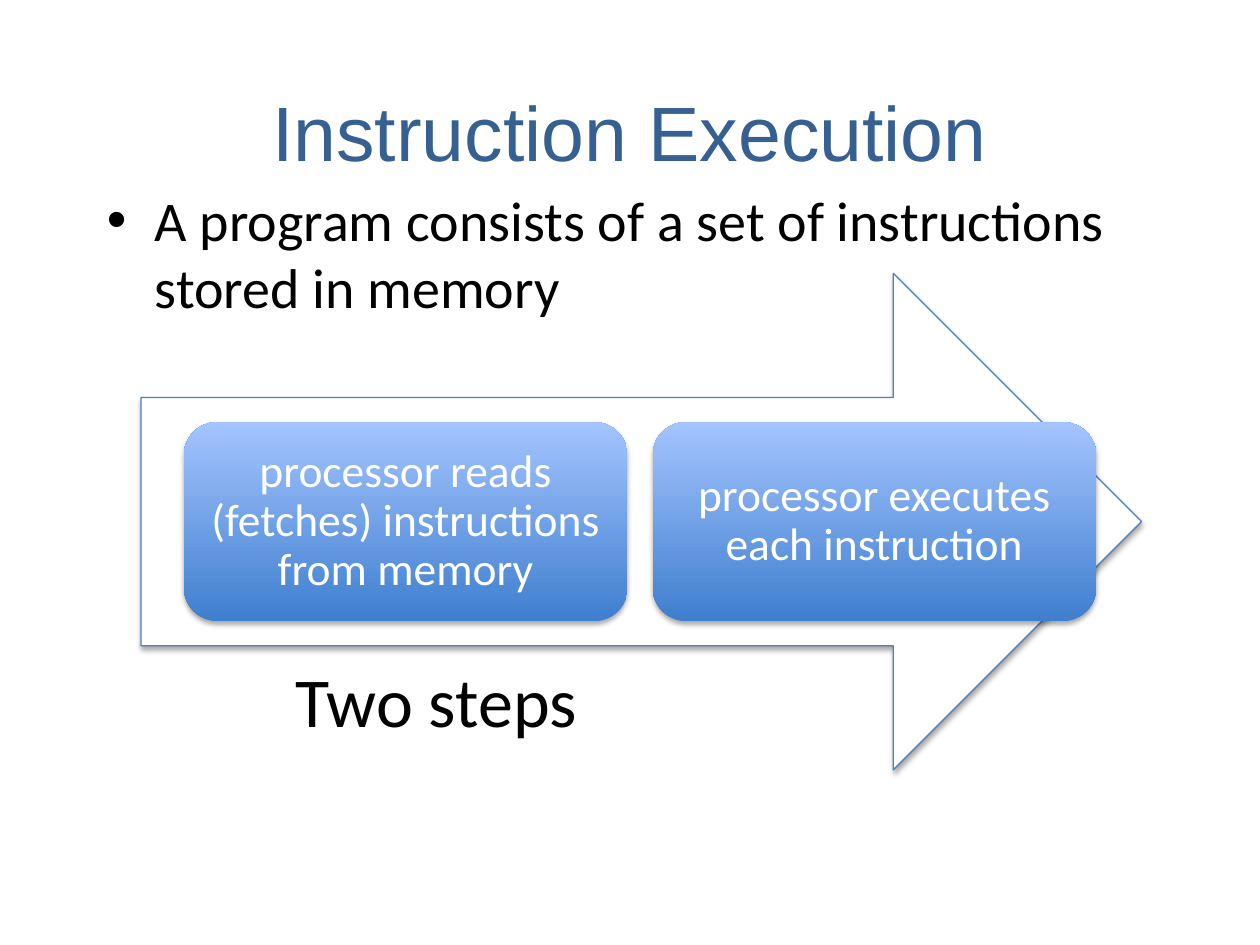
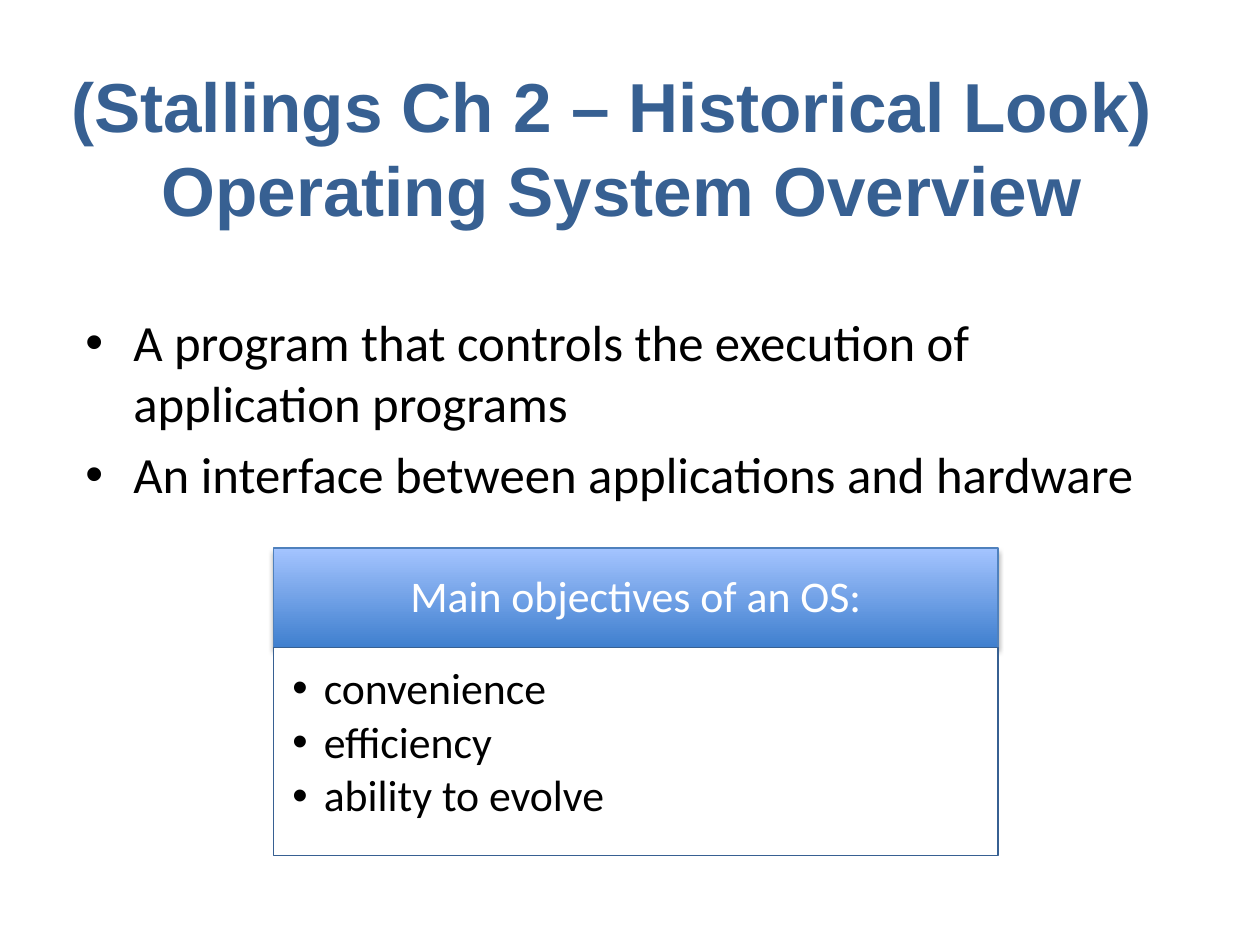
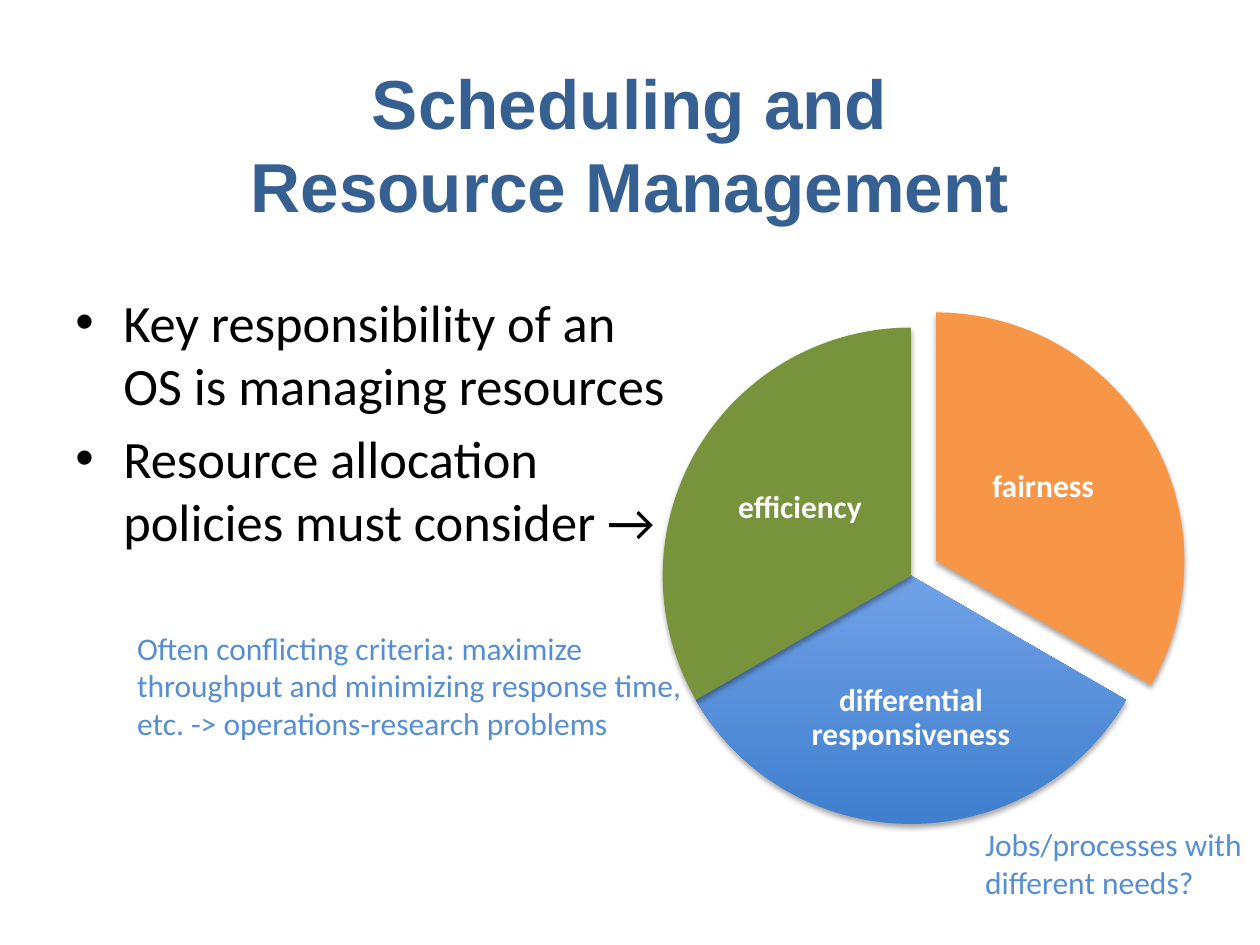
from dataclasses import dataclass, replace
from typing import Optional

from lxml.etree import SubElement as Sub
from pptx import Presentation
from pptx.dml.color import RGBColor
from pptx.enum.shapes import MSO_SHAPE as Kind
from pptx.enum.text import MSO_ANCHOR as Anchor, PP_ALIGN as Align
from pptx.oxml.ns import qn
from pptx.shapes.autoshape import Shape
from pptx.slide import Slide
from pptx.util import Inches, Pt

# Shared colours
NAVY = RGBColor(0x37, 0x60, 0x92)
BLUE = RGBColor(0x4F, 0x81, 0xBD)
SKY = RGBColor(0x55, 0x8E, 0xD5)
DEEP = RGBColor(0x3F, 0x7F, 0xCE)
PALE = RGBColor(0xA4, 0xC4, 0xFF)
ORANGE = RGBColor(0xF7, 0x96, 0x46)
GREEN = RGBColor(0x77, 0x93, 0x3C)
WHITE = RGBColor(0xFF, 0xFF, 0xFF)
BLACK = RGBColor(0, 0, 0)


@dataclass(frozen=True)
class Box:
    left: float
    top: float
    width: float
    height: float

    def lengths(self) -> list:
        return [Inches(v) for v in (self.left, self.top, self.width, self.height)]

    def inset(self, gap: float) -> "Box":
        return Box(self.left + gap, self.top + gap,
                   self.width - 2 * gap, self.height - 2 * gap)


@dataclass(frozen=True)
class Style:
    size: float
    color: RGBColor = BLACK
    face: str = "Calibri"
    bold: bool = False
    align: Align = Align.LEFT
    anchor: Anchor = Anchor.TOP
    pad: tuple = (0.1, 0.05, 0.1, 0.05)
    line: Optional[float] = None
    before: float = 0
    after: float = 0
    hang: float = 0


@dataclass(frozen=True)
class Slice:
    label: str
    pie: Box
    text: Box
    start: int
    fill: Optional[RGBColor]


# Shared text styles
TITLE = Style(39.6, NAVY, "Arial", True, Align.CENTER, Anchor.MIDDLE)
BODY = Style(32, hang=0.38, before=0.2)
NOTE = Style(18, SKY)
LABEL = Style(26, WHITE, align=Align.CENTER, anchor=Anchor.MIDDLE,
              pad=(0.11,) * 4, line=0.9)
HEAD = replace(LABEL, size=25, pad=(0.19, 0.11, 0.19, 0.11))
GOAL = Style(25, pad=(0.15, 0.15, 0.19, 0.22), line=0.9, after=0.15, hang=0.25)
SLICE = replace(LABEL, size=18, bold=True, pad=(0.03,) * 4)


def apply(target: object, values: dict) -> None:
    for name, value in values.items():
        setattr(target, name, value)


def add_text(slide: Slide, box: Box, style: Style, *lines: str) -> None:
    frame = slide.shapes.add_textbox(*box.lengths()).text_frame
    sides = ("left", "top", "right", "bottom")
    apply(frame, {"word_wrap": True, "vertical_anchor": style.anchor})
    apply(frame, {f"margin_{s}": Inches(v) for s, v in zip(sides, style.pad)})
    for i, line in enumerate(lines):
        para = frame.add_paragraph() if i else frame.paragraphs[0]
        para.text = line
        if style.hang:
            add_bullet(para, style.hang)
        apply(para, {"alignment": style.align, "line_spacing": style.line,
                     "space_before": Pt(style.before * style.size if i else 0),
                     "space_after": Pt(style.after * style.size)})
        for run in para.runs:
            apply(run.font, {"size": Pt(style.size), "name": style.face,
                             "bold": style.bold})
            run.font.color.rgb = style.color


def add_bullet(para: object, hang: float) -> None:
    props = para._p.get_or_add_pPr()
    props.set("marL", str(Inches(hang)))
    props.set("indent", str(-Inches(hang)))
    Sub(props, qn("a:buFont")).set("typeface", "Arial")
    Sub(props, qn("a:buChar")).set("char", "•")


def add_shadow(shape: Shape) -> None:
    effects = shape.element.spPr.find(qn("a:effectLst"))
    outer = Sub(effects, qn("a:outerShdw"), blurRad=str(Pt(3.1)),
                dist=str(Pt(1.8)), dir="5400000", rotWithShape="0")
    tint = Sub(outer, qn("a:srgbClr"), val=str(BLACK))
    Sub(tint, qn("a:alpha"), val="35000")


def add_shape(slide: Slide, kind: Kind, box: Box, fill: Optional[RGBColor] = None,
              line: Optional[RGBColor] = None, shadow: bool = True) -> Shape:
    """Draw a preset shape; without a fill colour it gets the blue gradient."""
    shape = slide.shapes.add_shape(kind, *box.lengths())
    if fill is None:
        shape.fill.gradient()
        shape.fill.gradient_angle = 90
        for stop, color in zip(shape.fill.gradient_stops, (DEEP, PALE)):
            stop.color.rgb = color
    else:
        shape.fill.solid()
        shape.fill.fore_color.rgb = fill
    if line is None:
        shape.line.fill.background()
    else:
        shape.line.color.rgb = line
        shape.line.width = Pt(0.75)
    shape.shadow.inherit = False
    if shadow:
        add_shadow(shape)
    return shape


def draw_steps(slide: Slide) -> None:
    add_text(slide, Box(0.72, 0.5, 8.56, 1.08),
             replace(TITLE, size=44, bold=False), "Instruction Execution")
    add_text(slide, Box(0.75, 1.42, 8.58, 2), BODY,
             "A program consists of a set of instructions stored in memory")
    add_shape(slide, Kind.RIGHT_ARROW, Box(1.12, 2.17, 7.94, 3.94), WHITE, BLUE)
    # Steps inside the arrow
    steps = ("processor reads (fetches) instructions from memory",
             "processor executes each instruction")
    for i, step in enumerate(steps):
        box = Box(1.46 + i * 3.72, 3.35, 3.52, 1.58)
        add_shape(slide, Kind.ROUNDED_RECTANGLE, box)
        add_text(slide, box.inset(0.08), LABEL, step)
    add_text(slide, Box(2.25, 5.17, 4.17, 1.08), Style(40), "Two steps")


def draw_goals(slide: Slide) -> None:
    add_text(slide, Box(0.28, 0.5, 9.31, 1.33), TITLE,
             "(Stallings Ch 2 – Historical Look) \vOperating System Overview")
    add_text(slide, Box(0.58, 2.42, 9, 5.08), replace(BODY, size=29),
             "A program that controls the execution of application programs",
             "An interface between applications and hardware")
    # Objectives panel
    head = Box(2.17, 4.35, 5.75, 0.79)
    panel = replace(head, top=head.top + head.height, height=1.65)
    add_shape(slide, Kind.RECTANGLE, head, line=BLUE)
    add_text(slide, head, HEAD, "Main objectives of an OS:")
    add_shape(slide, Kind.RECTANGLE, panel, WHITE, NAVY, shadow=False)
    add_text(slide, panel, GOAL, "convenience", "efficiency", "ability to evolve")


def draw_policy(slide: Slide) -> None:
    add_text(slide, Box(0.5, 0.51, 9, 1.25), TITLE,
             "Scheduling and\vResource Management")
    add_text(slide, Box(0.5, 2.25, 4.88, 4.42), replace(BODY, size=30),
             "Key responsibility of an OS is managing resources",
             "Resource allocation policies must consider →")
    # Pie of three equal slices, the first pulled out
    pie = Box(5.26, 2.6, 3.94, 3.94)
    pulled = replace(pie, left=5.46, top=2.48)
    slices = (
        Slice("fairness", pulled, Box(7.61, 3.21, 1.34, 1.31), 270, ORANGE),
        Slice("differential responsiveness", pie,
              Box(6.34, 5.09, 1.78, 1.22), 30, None),
        Slice("efficiency", pie, Box(5.68, 3.38, 1.34, 1.31), 150, GREEN),
    )
    for part in slices:
        shape = add_shape(slide, Kind.PIE, part.pie, part.fill)
        # Angles are held in units of 60000 per degree, scaled by 100000
        for i, angle in enumerate((part.start, (part.start + 120) % 360)):
            shape.adjustments[i] = angle * 0.6
        add_text(slide, part.text, SLICE, part.label)
    # Remarks
    add_text(slide, Box(7.72, 6.5, 2.43, 0.71), NOTE,
             "Jobs/processes with different needs?")
    add_text(slide, Box(0.99, 4.94, 4.7, 1.01), NOTE,
             "Often conflicting criteria: maximize throughput and minimizing "
             "response time, etc. -> operations-research problems")


def main() -> None:
    deck = Presentation()
    apply(deck, {"slide_width": Inches(10), "slide_height": Inches(7.5)})
    for draw in (draw_steps, draw_goals, draw_policy):
        draw(deck.slides.add_slide(deck.slide_layouts[6]))
    deck.save("out.pptx")


if __name__ == "__main__":
    main()
